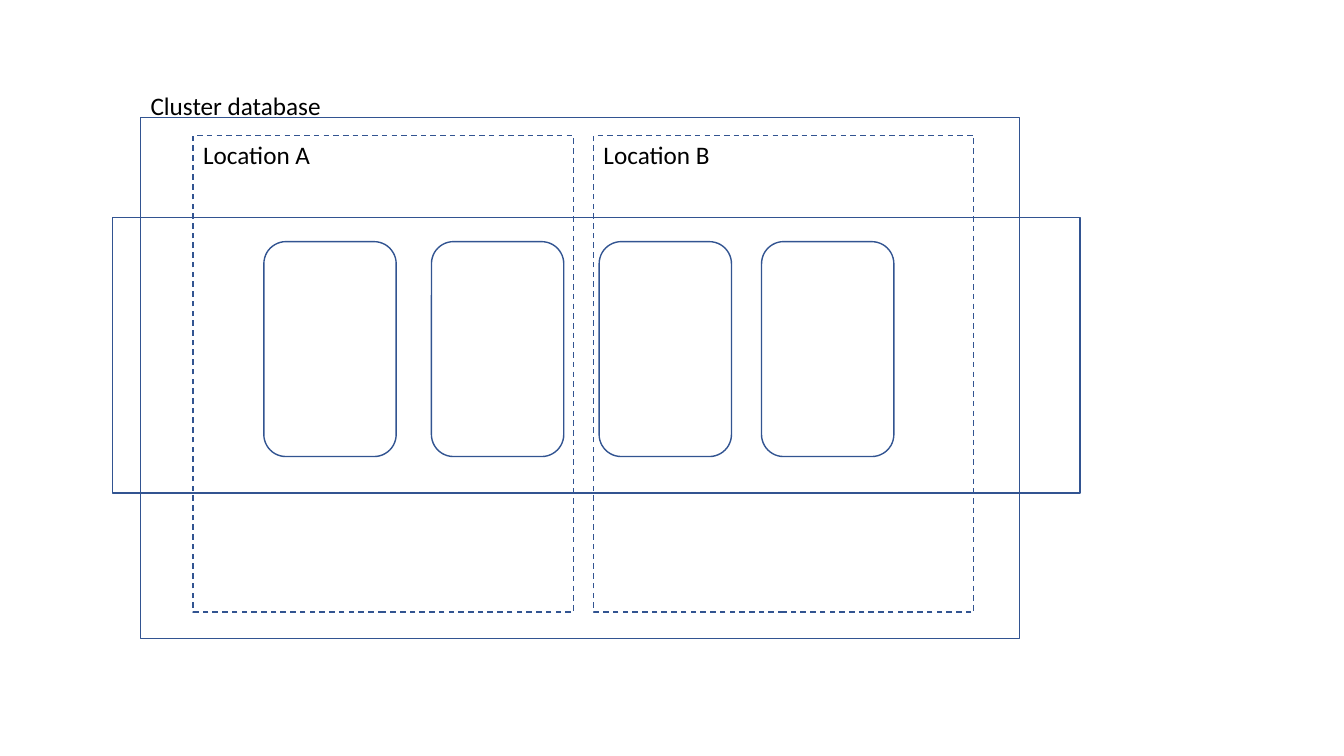
from dataclasses import dataclass

from pptx import Presentation
from pptx.dml.color import RGBColor
from pptx.enum.dml import MSO_LINE
from pptx.enum.shapes import MSO_SHAPE
from pptx.enum.text import MSO_AUTO_SIZE
from pptx.slide import Slide
from pptx.util import Pt

OUTLINE = "325491"
TEXT = "000000"
FONT = "Calibri"


@dataclass(frozen=True)
class Box:
    left: float
    top: float
    width: float
    height: float
    kind: MSO_SHAPE = MSO_SHAPE.RECTANGLE
    dashed: bool = False


@dataclass(frozen=True)
class Label:
    text: str
    left: float
    top: float
    width: float
    height: float = 29


NODES = [
    Box(left, 172.6, 94.5, 153.5, MSO_SHAPE.ROUNDED_RECTANGLE)
    for left in (188.5, 308.2, 428, 544)
]
CLUSTER = Box(100.5, 84, 628, 372)
LOCATION_A = Box(138, 96.7, 271.6, 340.6, dashed=True)
LOCATION_B = Box(424, 96.7, 271.6, 340.6, dashed=True)
BAND = Box(80.5, 155.5, 691, 196.6)

CLUSTER_LABEL = Label("Cluster database", CLUSTER.left, 61.2, 141.8)
LOCATION_LABELS = [
    Label("Location B", LOCATION_B.left, 96, 91.5),
    Label("Location A", LOCATION_A.left, 96, 92.2),
]


def color(value: str) -> RGBColor:
    return RGBColor.from_string(value)


def add_box(slide: Slide, box: Box) -> None:
    shape = slide.shapes.add_shape(
        box.kind, Pt(box.left), Pt(box.top), Pt(box.width), Pt(box.height)
    )
    shape.shadow.inherit = False
    shape.fill.background()
    shape.line.color.rgb = color(OUTLINE)
    shape.line.width = Pt(1)
    if box.dashed:
        shape.line.dash_style = MSO_LINE.DASH


def add_label(slide: Slide, label: Label) -> None:
    shape = slide.shapes.add_textbox(
        Pt(label.left), Pt(label.top), Pt(label.width), Pt(label.height)
    )
    frame = shape.text_frame
    frame.word_wrap = False
    frame.auto_size = MSO_AUTO_SIZE.SHAPE_TO_FIT_TEXT
    run = frame.paragraphs[0].add_run()
    run.text = label.text
    run.font.name = FONT
    run.font.size = Pt(18)
    run.font.color.rgb = color(TEXT)


def main() -> None:
    presentation = Presentation()
    presentation.slide_width = Pt(960)
    presentation.slide_height = Pt(540)
    slide = presentation.slides.add_slide(presentation.slide_layouts[6])

    for node in NODES:
        add_box(slide, node)
    add_box(slide, CLUSTER)
    add_label(slide, CLUSTER_LABEL)
    for location in (LOCATION_B, LOCATION_A):
        add_box(slide, location)
    for label in LOCATION_LABELS:
        add_label(slide, label)
    add_box(slide, BAND)

    presentation.save("out.pptx")


if __name__ == "__main__":
    main()
